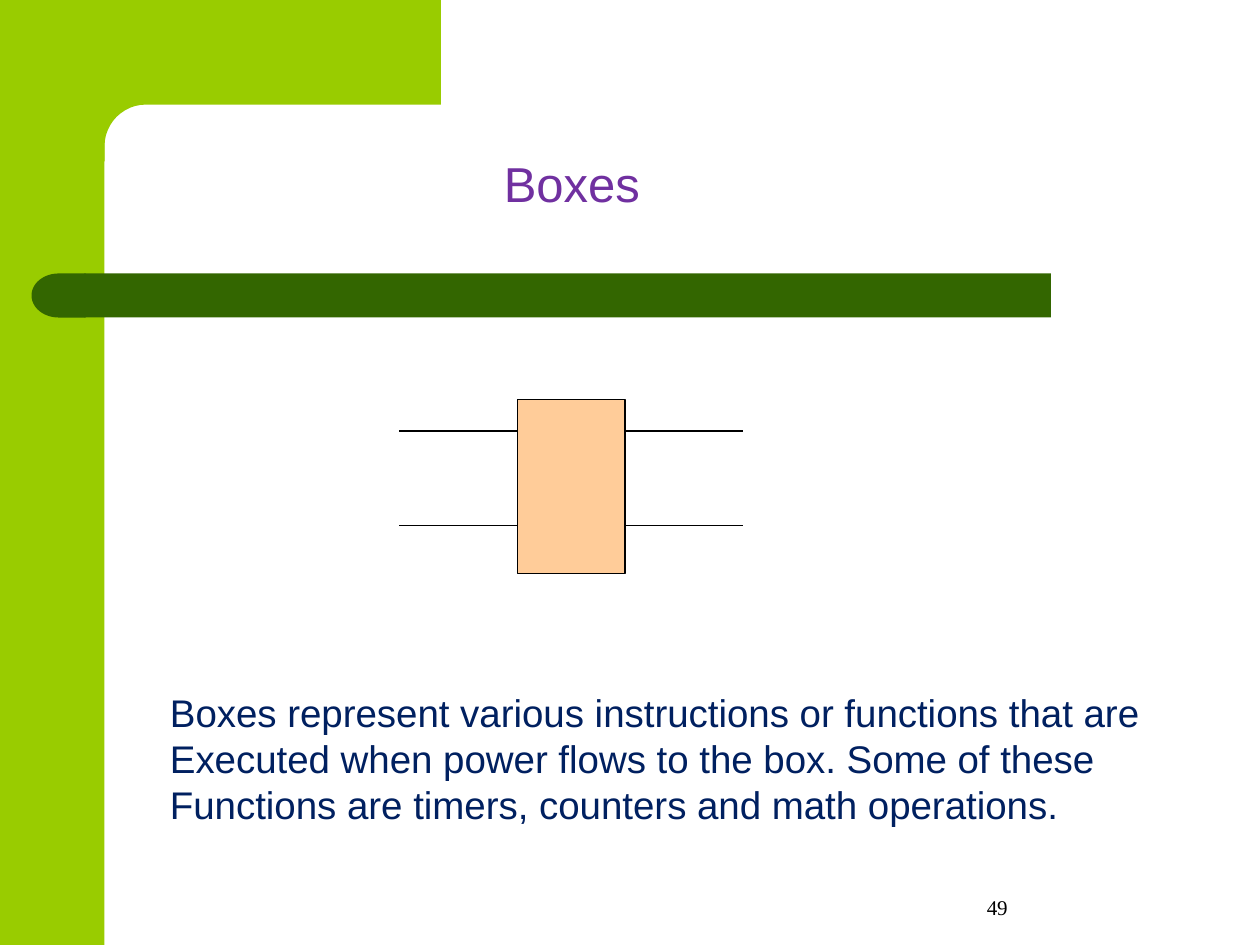
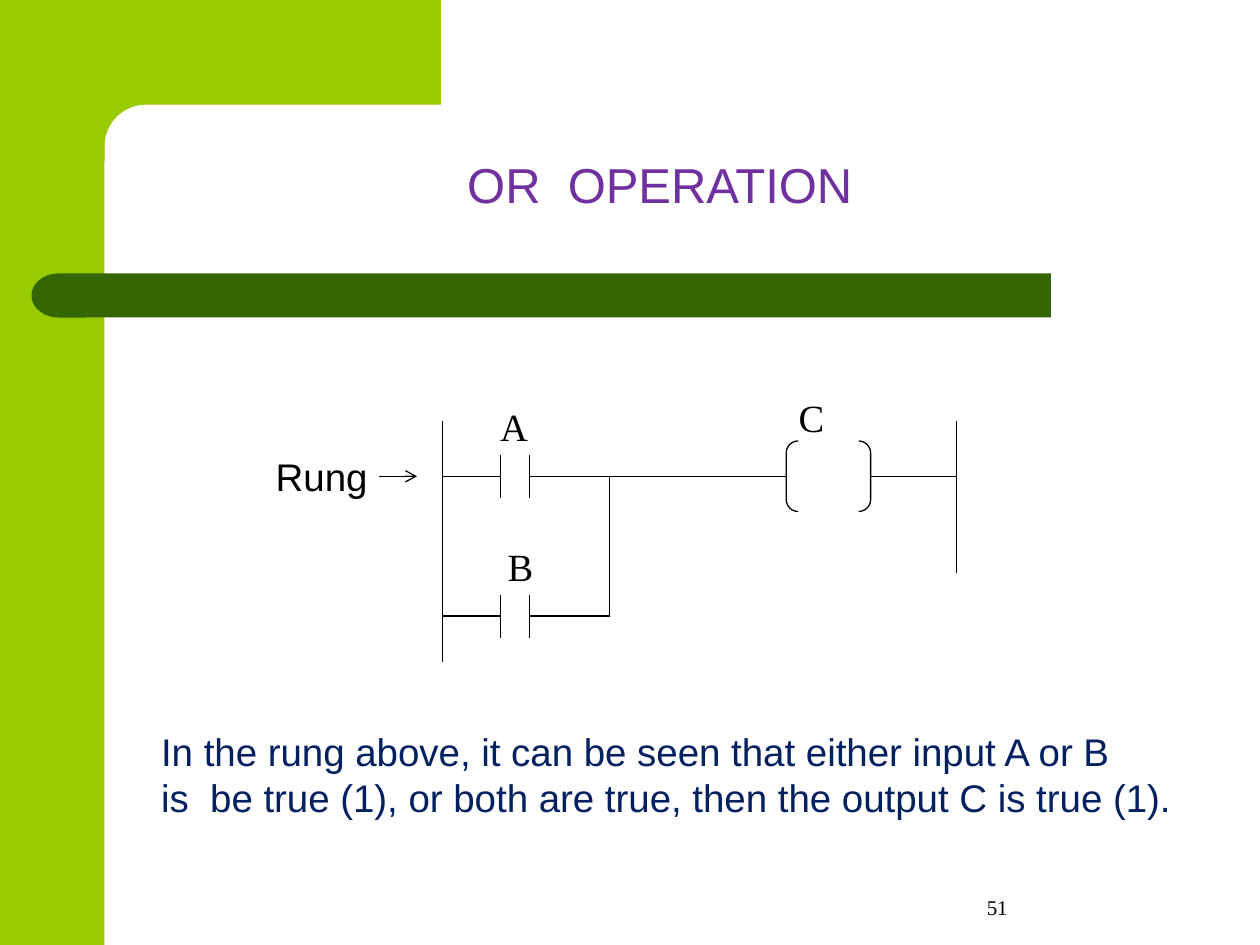
import itertools
import math

from lxml import etree
from pptx import Presentation
from pptx.dml.color import RGBColor
from pptx.enum import shapes, text
from pptx.oxml.ns import qn
from pptx.util import Inches, Pt

LIME = RGBColor(0x99, 0xCC, 0x00)
FOREST = RGBColor(0x33, 0x66, 0x00)
PURPLE = RGBColor(0x70, 0x30, 0xA0)
NAVY = RGBColor(0x00, 0x20, 0x60)
PEACH = RGBColor(0xFF, 0xCC, 0x99)
BLACK = RGBColor(0x00, 0x00, 0x00)
SANS = "Arial"
SERIF = "Times New Roman"
SHAPE = shapes.MSO_SHAPE


class Deck:
    def __init__(self):
        self.prs = Presentation()
        self.prs.slide_width = Inches(10)
        self.prs.slide_height = Inches(7.5)
        self.slide = None

    def new_slide(self, number):
        self.slide = self.prs.slides.add_slide(self.prs.slide_layouts[6])
        self.shape(SHAPE.RECTANGLE, 0, 0, 0.83, 7.5, LIME)
        self.corner()
        self.shape(SHAPE.RECTANGLE, 0.67, 2.17, 7.67, 0.35, FOREST)
        cap = self.shape(SHAPE.FLOWCHART_DELAY, 0.25, 2.17, 0.43, 0.35, FOREST)
        cap.rotation = 180
        footer = self.label(number, 6.33, 6.83, 3.17, 0.52, 12, SERIF)
        footer.word_wrap = True
        footer.vertical_anchor = text.MSO_ANCHOR.BOTTOM
        footer.paragraphs[0].alignment = text.PP_ALIGN.CENTER

    def paint(self, shape, fill, line=None):
        shape.shadow.inherit = False
        if fill is None:
            shape.fill.background()
        else:
            shape.fill.solid()
            shape.fill.fore_color.rgb = fill
        if line is None:
            shape.line.fill.background()
        else:
            shape.line.color.rgb = line
            shape.line.width = Pt(0.75)
        return shape

    def shape(self, preset, left, top, width, height, fill=None, line=None):
        shape = self.slide.shapes.add_shape(
            preset, Inches(left), Inches(top), Inches(width), Inches(height))
        return self.paint(shape, fill, line)

    def corner(self):
        radius, center = 0.33, 1.16
        angles = [math.radians(step * 7.5) for step in range(13)]
        arc = [(center - radius * math.sin(a), center - radius * math.cos(a)) for a in angles]
        points = [(3.5, 0), (3.5, 0.83), *arc, (0.83, 1.28), (0.5, 1.28), (0.5, 0)]
        outline = [(Inches(x), Inches(y)) for x, y in points]
        builder = self.slide.shapes.build_freeform(*outline[0])
        builder.add_line_segments(outline[1:], close=True)
        self.paint(builder.convert_to_shape(), LIME)

    def label(self, words, left, top, width, height, size=22, font=SANS, color=BLACK):
        frame = self.slide.shapes.add_textbox(
            Inches(left), Inches(top), Inches(width), Inches(height)).text_frame
        frame.word_wrap = False
        frame.text = words
        for paragraph in frame.paragraphs:
            for run in paragraph.runs:
                run.font.size = Pt(size)
                run.font.name = font
                run.font.color.rgb = color
        return frame

    def title(self, words, left, top, width):
        self.label(words, left, top, width, 0.57, 28, SANS, PURPLE)

    def wire(self, x1, y1, x2, y2, arrow=False):
        wire = self.slide.shapes.add_connector(
            shapes.MSO_CONNECTOR.STRAIGHT, Inches(x1), Inches(y1), Inches(x2), Inches(y2))
        wire.line.color.rgb = BLACK
        wire.line.width = Pt(0.75)
        if arrow:
            etree.SubElement(wire.line._get_or_add_ln(), qn("a:tailEnd"), type="arrow")
        etree.SubElement(wire._element.spPr, qn("a:effectLst"))
        return wire

    def wire_run(self, stops, y):
        return [self.wire(x1, y, x2, y) for x1, x2 in itertools.pairwise(stops)]

    def contact(self, rail, left, right, y):
        for plate in (left, right):
            self.wire(plate, y - 0.17, plate, y + 0.17)
        self.wire(rail, y, left, y)


def boxes_slide(deck):
    deck.new_slide("49")
    deck.title("Boxes", 3.9, 1.17, 1.28)
    left, width, lead = 4.11, 0.85, 0.94
    deck.shape(SHAPE.RECTANGLE, left, 3.17, width, 1.38, PEACH, BLACK)
    for y in (3.42, 4.17):
        for start in (left - lead, left + width):
            deck.wire(start, y, start + lead, y)
    deck.label("Boxes represent various instructions or functions that are\n"
               "Executed when power flows to the box. Some of these\n"
               "Functions are timers, counters and math operations.",
               1.25, 5.42, 7.95, 1.2, color=NAVY)


def or_slide(deck):
    deck.new_slide("51")
    deck.title("OR  OPERATION", 3.61, 1.18, 3.28)
    deck.label("In the rung above, it can be seen that either input A or B\n"
               "is  be true (1), or both are true, then the output C is true (1).",
               1.18, 5.73, 8.25, 0.84, color=NAVY)

    left_rail, right_rail, branch = 3.51, 7.59, 4.84
    plate_left, plate_right, joint = 3.97, 4.2, 4.55
    rung_y, branch_y = 3.78, 4.89
    deck.wire(left_rail, 3.34, left_rail, 5.25)
    deck.wire(right_rail, 3.34, right_rail, 4.55)
    for y in (rung_y, branch_y):
        deck.contact(left_rail, plate_left, plate_right, y)

    coil = deck.shape(SHAPE.DOUBLE_BRACKET, 6.24, 3.5, 0.67, 0.56, line=BLACK)
    coil.adjustments[0] = 0.17
    deck.wire_run((plate_right, joint, 5.59, 6.24), rung_y)[-1].end_connect(coil, 1)
    deck.wire(6.91, rung_y, right_rail, rung_y).begin_connect(coil, 3)
    deck.wire_run((plate_right, joint, branch), branch_y)
    deck.wire(branch, branch_y, branch, rung_y)

    deck.wire(3.01, rung_y, 3.31, rung_y, arrow=True)
    deck.label("Rung", 2.09, 3.55, 0.93, 0.47)
    for name, x, y, width in (("A", 3.87, 3.15, 0.42), ("B", 3.93, 4.26, 0.41),
                              ("C", 6.24, 3.08, 0.4)):
        deck.label(name, x, y, width, 0.47, font=SERIF)


def main():
    deck = Deck()
    boxes_slide(deck)
    or_slide(deck)
    deck.prs.save("out.pptx")


if __name__ == "__main__":
    main()
